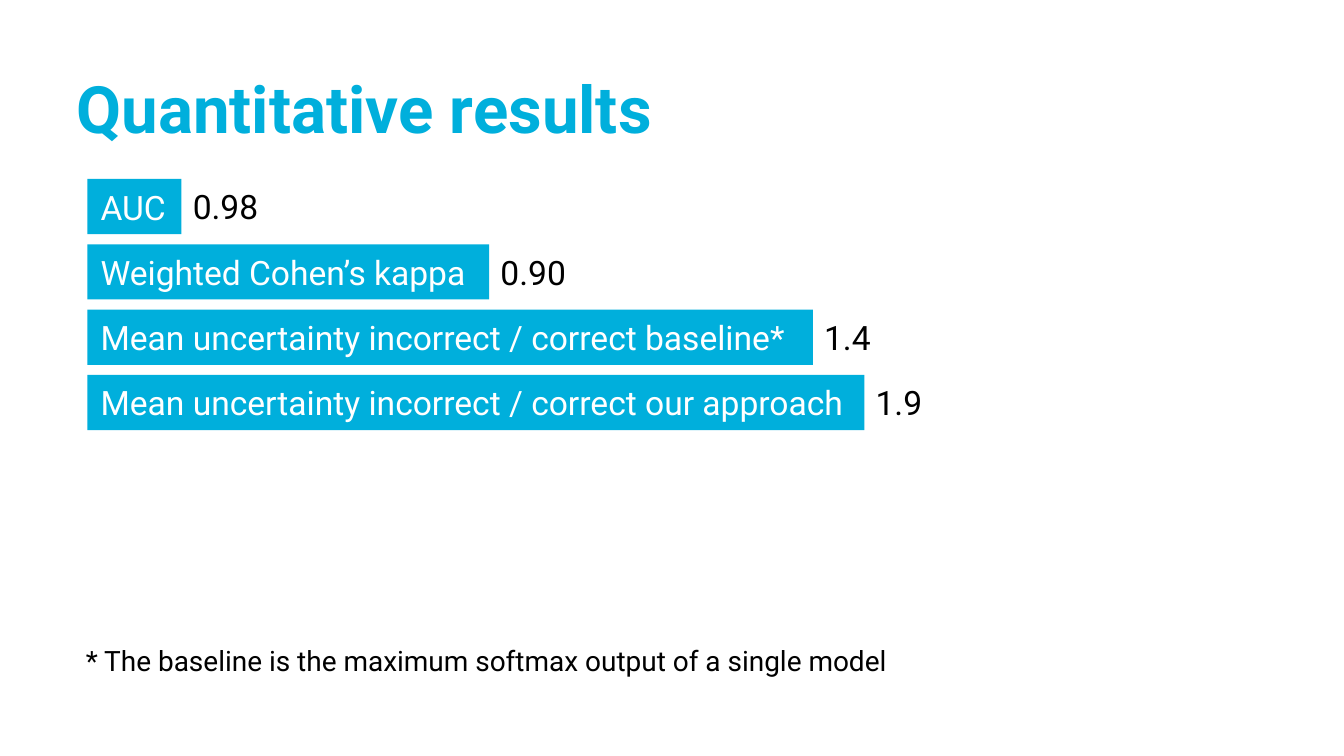
from dataclasses import dataclass

from pptx import Presentation
from pptx.dml.color import RGBColor
from pptx.enum.shapes import MSO_SHAPE
from pptx.enum.text import MSO_ANCHOR, MSO_AUTO_SIZE, PP_ALIGN
from pptx.slide import Slide
from pptx.text.text import TextFrame
from pptx.util import Pt

ROUNDED_RECTANGLE = MSO_SHAPE.ROUNDED_RECTANGLE
MIDDLE = MSO_ANCHOR.MIDDLE
FIT_SHAPE = MSO_AUTO_SIZE.SHAPE_TO_FIT_TEXT
NO_FIT = MSO_AUTO_SIZE.NONE
LEFT = PP_ALIGN.LEFT

COLORS = {"accent": "00AFDC", "text": "000000", "label": "FFFFFF"}
FONT = "Roboto"
TITLE_ONLY = 5

# Metric rows, in points
ROW_LEFT = 46.8
ROW_TOP = 95.9
ROW_PITCH = 35
BAR_HEIGHT = 29.5
VALUE_HEIGHT = 29
VALUE_OVERLAP = 1


@dataclass
class Metric:
    label: str
    value: str
    bar_width: float
    value_width: float


METRICS = [
    Metric("AUC", "0.98", 50.4, 50.4),
    Metric("Weighted Cohen’s kappa", "0.90", 215.2, 50.4),
    Metric("Mean uncertainty incorrect / correct baseline*", "1.4", 388.6, 39.6),
    Metric("Mean uncertainty incorrect / correct our approach", "1.9", 416.2, 39.6),
]


def set_text(frame: TextFrame, text: str, size: float, color: str, bold: bool = False) -> None:
    frame.text = text
    paragraph = frame.paragraphs[0]
    paragraph.alignment = LEFT
    font = paragraph.runs[0].font
    font.name = FONT
    font.size = Pt(size)
    font.bold = bold
    font.color.rgb = RGBColor.from_string(COLORS[color])


def add_title(slide: Slide, text: str) -> None:
    title = slide.shapes.title
    title.left, title.top, title.width, title.height = Pt(41), Pt(36.7), Pt(638), Pt(41.8)
    frame = title.text_frame
    set_text(frame, text, 35, "accent", bold=True)
    frame.margin_left = frame.margin_right = frame.margin_top = frame.margin_bottom = 0
    frame.vertical_anchor = MIDDLE
    frame.auto_size = NO_FIT
    frame.paragraphs[0].line_spacing = Pt(42)


def add_text(slide: Slide, text: str, left: float, top: float,
             width: float, height: float, size: float) -> None:
    box = slide.shapes.add_textbox(Pt(left), Pt(top), Pt(width), Pt(height))
    frame = box.text_frame
    set_text(frame, text, size, "text")
    frame.word_wrap = False
    frame.auto_size = FIT_SHAPE


def add_metric(slide: Slide, metric: Metric, top: float) -> None:
    value_left = ROW_LEFT + metric.bar_width - VALUE_OVERLAP
    add_text(slide, metric.value, value_left, top + 0.3,
             metric.value_width, VALUE_HEIGHT, 18)
    bar = slide.shapes.add_shape(ROUNDED_RECTANGLE, Pt(ROW_LEFT), Pt(top),
                                 Pt(metric.bar_width), Pt(BAR_HEIGHT))
    bar.adjustments[0] = 0
    bar.shadow.inherit = False
    bar.fill.solid()
    bar.fill.fore_color.rgb = RGBColor.from_string(COLORS["accent"])
    bar.line.fill.background()
    set_text(bar.text_frame, metric.label, 18, "label")
    bar.text_frame.vertical_anchor = MIDDLE


def main() -> None:
    presentation = Presentation()
    presentation.slide_width = Pt(720)
    presentation.slide_height = Pt(405)
    slide = presentation.slides.add_slide(presentation.slide_layouts[TITLE_ONLY])

    # Title
    add_title(slide, "Quantitative results")

    # Metric bars with their values
    for row, metric in enumerate(METRICS):
        add_metric(slide, metric, ROW_TOP + row * ROW_PITCH)

    # Footnote
    add_text(slide, "* The baseline is the maximum softmax output of a single model",
             38.9, 341.3, 447.8, 25.2, 15)

    presentation.save("out.pptx")


if __name__ == "__main__":
    main()
